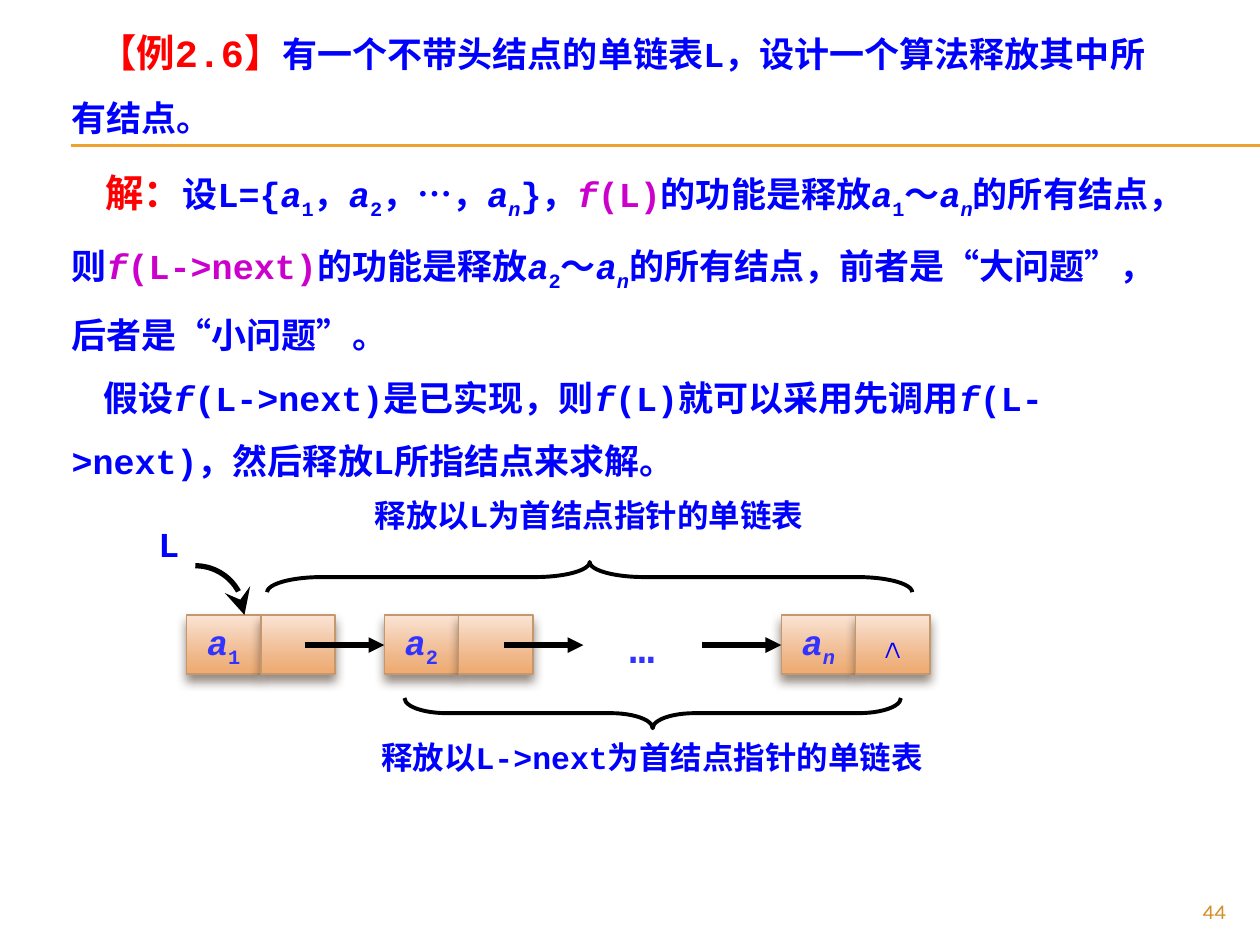
from dataclasses import dataclass, replace
from math import cos, pi, sin

from lxml.etree import SubElement
from pptx import Presentation
from pptx.dml.color import RGBColor
from pptx.enum.shapes import MSO_CONNECTOR, MSO_SHAPE
from pptx.enum.text import MSO_ANCHOR, PP_ALIGN
from pptx.oxml import parse_xml
from pptx.oxml.ns import nsdecls, qn
from pptx.util import Inches, Pt

COLORS = {
    "blue": "0000FF", "red": "FF0000", "purple": "CC00CC", "label": "3333FF",
    "black": "000000", "rule": "F0A22E", "number": "D48F29", "border": "C3986D",
    "shadow": "4E3B30", "light": "FAE4D5", "middle": "EFB688", "dark": "EFAA6F",
}
GRADIENT = ((0, "light"), (72, "middle"), (100, "dark"))
CELL_WIDTH, CELL_HEIGHT, CELL_TOP = 0.59, 0.47, 4.88
LINK_LENGTH, LINK_Y = 0.63, 5.12


@dataclass(frozen=True)
class Run:
    text: str
    color: str = "blue"
    size: int = 20
    italic: bool = False
    subscript: bool = False
    bold: bool = True
    font: str = "Courier New"


@dataclass(frozen=True)
class Line:
    runs: tuple
    indent: float = 0
    spacing: float = 1
    align: PP_ALIGN = PP_ALIGN.LEFT


@dataclass(frozen=True)
class Box:
    left: float
    top: float
    width: float
    height: float

    def lengths(self) -> tuple:
        return tuple(map(Inches, (self.left, self.top, self.width, self.height)))


@dataclass(frozen=True)
class Cell:
    left: float
    runs: tuple = ()


@dataclass(frozen=True)
class Brace:
    box: Box
    rotation: int
    depth: float


def term(letter: str, index: str, color: str = "blue") -> tuple:
    return (Run(letter, color, italic=True),
            Run(index, color, italic=index.isalpha(), subscript=True))


def call(argument: str, color: str = "blue") -> tuple:
    return Run("f", color, italic=True), Run(f"({argument})", color)


def rgb(name: str) -> RGBColor:
    return RGBColor.from_string(COLORS[name])


def write(frame, lines: tuple, wrap: bool = True) -> None:
    frame.word_wrap = wrap
    for index, line in enumerate(lines):
        paragraph = frame.paragraphs[0] if index == 0 else frame.add_paragraph()
        for name, value in {"alignment": line.align, "line_spacing": line.spacing}.items():
            setattr(paragraph, name, value)
        if line.indent:
            paragraph._p.get_or_add_pPr().set("indent", str(Inches(line.indent)))
        for item in line.runs:
            run = paragraph.add_run()
            run.text = item.text
            formats = {"name": item.font, "size": Pt(item.size),
                       "bold": item.bold, "italic": item.italic}
            for name, value in formats.items():
                setattr(run.font, name, value)
            run.font.color.rgb = rgb(item.color)
            properties = run._r.get_or_add_rPr()
            properties.set("lang", "zh-CN")
            SubElement(properties, qn("a:ea")).set("typeface", "Noto Sans CJK SC")
            if item.subscript:
                properties.set("baseline", "-25000")


def add_text(slide, box: Box, *lines: Line) -> None:
    write(slide.shapes.add_textbox(*box.lengths()).text_frame, lines)


def set_line(shape, color: str, width: float, arrow: str = "", size: str = "med") -> None:
    shape.line.color.rgb = rgb(color)
    shape.line.width = Pt(width)
    if arrow:
        tail = SubElement(shape.line._get_or_add_ln(), qn("a:tailEnd"))
        for name, value in {"type": arrow, "w": size, "len": size}.items():
            tail.set(name, value)


def add_line(slide, left: float, right: float, y: float, color: str,
             width: float, arrow: str = "") -> None:
    connector = slide.shapes.add_connector(
        MSO_CONNECTOR.STRAIGHT, Inches(left), Inches(y), Inches(right), Inches(y))
    set_line(connector, color, width, arrow)
    SubElement(connector._element.spPr, qn("a:effectLst"))


def add_cell(slide, cell: Cell) -> None:
    box = Box(cell.left, CELL_TOP, CELL_WIDTH, CELL_HEIGHT)
    shape = slide.shapes.add_shape(MSO_SHAPE.RECTANGLE, *box.lengths())
    properties = shape._element.spPr
    stops = "".join(f'<a:gs pos="{position * 1000}"><a:srgbClr val="{COLORS[color]}"/></a:gs>'
                    for position, color in GRADIENT)
    properties.append(parse_xml(
        f'<a:gradFill {nsdecls("a")}><a:gsLst>{stops}</a:gsLst>'
        '<a:lin ang="5400000" scaled="0"/></a:gradFill>'))
    set_line(shape, "border", 0.79)
    properties.append(parse_xml(
        f'<a:effectLst {nsdecls("a")}><a:outerShdw blurRad="{Pt(6)}" dist="{Pt(4)}" '
        f'dir="5400000" rotWithShape="0"><a:srgbClr val="{COLORS["shadow"]}">'
        '<a:alpha val="60000"/></a:srgbClr></a:outerShdw></a:effectLst>'))
    shape.text_frame.vertical_anchor = MSO_ANCHOR.MIDDLE
    if cell.runs:
        write(shape.text_frame, (Line(cell.runs, align=PP_ALIGN.CENTER),), wrap=False)


def add_brace(slide, brace: Brace) -> None:
    shape = slide.shapes.add_shape(MSO_SHAPE.RIGHT_BRACE, *brace.box.lengths())
    shape.rotation = brace.rotation
    shape.adjustments[0], shape.adjustments[1] = brace.depth, 0.5
    shape.fill.background()
    shape.shadow.inherit = False
    set_line(shape, "black", 2.25)


def add_pointer(slide, left: float, top: float, radius: float, steps: int = 24) -> None:
    angles = [pi / 2 * step / steps for step in range(steps + 1)]
    points = [(Inches(left + radius * sin(angle)), Inches(top + radius * (1 - cos(angle))))
              for angle in angles]
    builder = slide.shapes.build_freeform(*points[0])
    builder.add_line_segments(points[1:], close=False)
    shape = builder.convert_to_shape()
    shape.fill.background()
    shape.shadow.inherit = False
    set_line(shape, "black", 3, "stealth", "lg")


TITLE = Line((
    Run("【例2.6】", "red", 22),
    Run("有一个不带头结点的单链表L，设计一个算法释放其中所有结点。"),
), 0.21, 1.5)
SOLUTION = Line((
    Run("解：", "red", 22, font="Noto Sans CJK SC"),
    Run("设L={"), *term("a", "1"), Run("，"), *term("a", "2"), Run("，…，"),
    *term("a", "n"), Run("}，"), *call("L", "purple"), Run("的功能是释放"),
    *term("a", "1"), Run("～"), *term("a", "n"), Run("的所有结点，则"),
    *call("L->next", "purple"), Run("的功能是释放"),
    *term("a", "2"), Run("～"), *term("a", "n"),
    Run("的所有结点，前者是“大问题”，后者是“小问题”。"),
), 0.27, 1.5)
ASSUMPTION = Line((
    Run("假设"), *call("L->next"), Run("是已实现，则"), *call("L"),
    Run("就可以采用先调用"), *call("L->next"), Run("，然后释放L所指结点来求解。"),
), 0.25, 1.5)
CELLS = (
    Cell(1.48, term("a", "1", "label")), Cell(1.48 + CELL_WIDTH),
    Cell(3.05, term("a", "2", "label")), Cell(3.05 + CELL_WIDTH),
    Cell(6.2, term("a", "n", "label")), Cell(6.2 + CELL_WIDTH, (Run("∧"),)),
)
BRACES = (
    Brace(Box(5.06, 3.69, 0.24, 3.94), 90, 1.39),
    Brace(Box(4.56, 2.02, 0.24, 5.12), 270, 1.81),
)
CAPTIONS = (
    (Box(2.55, 3.89, 4.25, 0.4), Run("释放以L为首结点指针的单链表", size=18)),
    (Box(2.46, 5.81, 5.43, 0.4), Run("释放以L->next为首结点指针的单链表", size=18)),
    (Box(4.78, 4.88, 0.63, 0.5), Run("…", "label", 24)),
)


def main() -> None:
    presentation = Presentation()
    presentation.slide_width, presentation.slide_height = Inches(10), Inches(7.5)
    slide = presentation.slides.add_slide(presentation.slide_layouts[6])
    for y in (1.15, 1.16):
        add_line(slide, 0.56, 10, y, "rule", 0.75)
    add_text(slide, Box(0.47, 0, 8.98, 1.1), TITLE)
    add_text(slide, Box(0.47, 1.09, 9.06, 2.68), SOLUTION, ASSUMPTION)
    for cell in CELLS:
        add_cell(slide, cell)
    add_pointer(slide, 1.55, 4.49, 0.39)
    add_text(slide, Box(1.16, 4.1, 0.47, 0.44), Line((Run("L"),)))
    for left in (2.42, 4, 5.57):
        add_line(slide, left, left + LINK_LENGTH, LINK_Y, "black", 3, "triangle")
    for brace in BRACES:
        add_brace(slide, brace)
    for box, run in CAPTIONS:
        add_text(slide, box, Line((run,), align=PP_ALIGN.CENTER))
    number = replace(Run("44", "number", 12), bold=False, font="Karla")
    add_text(slide, Box(9, 7.08, 0.83, 0.27), Line((number,), align=PP_ALIGN.RIGHT))
    presentation.save("out.pptx")


if __name__ == "__main__":
    main()
